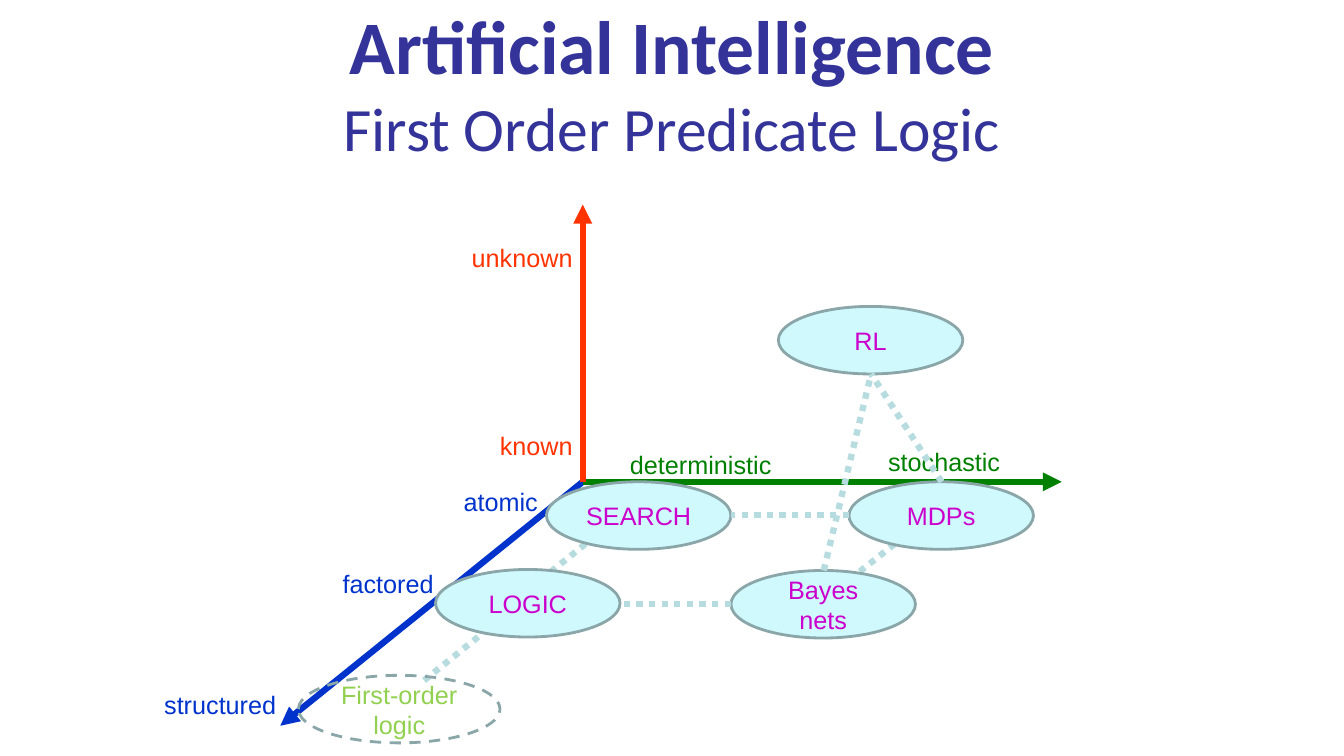
from typing import NamedTuple, Optional

from pptx import Presentation
from pptx.dml.color import RGBColor
from pptx.enum.dml import MSO_LINE
from pptx.enum.shapes import MSO_CONNECTOR, MSO_SHAPE
from pptx.enum.text import MSO_ANCHOR, MSO_AUTO_SIZE, PP_ALIGN
from pptx.oxml.ns import qn
from pptx.util import Inches, Pt
from lxml import etree

STRAIGHT = MSO_CONNECTOR.STRAIGHT
OVAL = MSO_SHAPE.OVAL
DOTTED, DASHED = MSO_LINE.ROUND_DOT, MSO_LINE.DASH
MIDDLE = MSO_ANCHOR.MIDDLE
CENTER = PP_ALIGN.CENTER
GROW = MSO_AUTO_SIZE.SHAPE_TO_FIT_TEXT

NAVY = RGBColor(0x33, 0x33, 0x99)
BLUE = RGBColor(0x00, 0x33, 0xCC)
GREEN = RGBColor(0x00, 0x80, 0x00)
RED = RGBColor(0xFF, 0x33, 0x00)
PALE = RGBColor(0xD0, 0xF9, 0xFE)
GREY = RGBColor(0x8A, 0xA6, 0xA8)
TEAL = RGBColor(0xB6, 0xDC, 0xDF)
MAGENTA = RGBColor(0xCC, 0x00, 0xCC)
LIME = RGBColor(0x92, 0xD0, 0x50)

Point = tuple[float, float]
ORIGIN: Point = (5.78, 4.78)
NODE_HEIGHT = 0.67
LABEL_HEIGHT = 0.4


class Label(NamedTuple):
    text: str
    left: float
    top: float
    width: float


class Axis(NamedTuple):
    tip: Point
    color: RGBColor
    labels: list[Label]


class Node(NamedTuple):
    text: str
    left: float
    top: float
    width: float = 1.83
    color: RGBColor = MAGENTA
    fill: Optional[RGBColor] = PALE


class Link(NamedTuple):
    start: Point
    end: Point


BACK_LINKS = [
    Link((6, 5.24), (5.33, 5.78)),
    Link((4.84, 6.24), (4.17, 6.78)),
    Link((8.97, 5.32), (8.3, 5.85)),
]
AXES = [
    Axis((2.78, 7.2), BLUE, [
        Label("atomic", 4.5, 4.78, 0.95),
        Label("factored", 3.3, 5.59, 1.11),
        Label("structured", 1.53, 6.79, 1.32),
    ]),
    Axis((10.53, 4.78), GREEN, [
        Label("deterministic", 6.15, 4.41, 1.67),
        Label("stochastic", 8.71, 4.38, 1.32),
    ]),
    Axis((5.78, 2.03), RED, [
        Label("known", 4.86, 4.22, 0.93),
        Label("unknown", 4.58, 2.36, 1.21),
    ]),
]
NODES = [
    Node("RL", 7.72, 3.04),
    Node("Bayes nets", 7.25, 5.66),
    Node("First-order logic", 2.96, 6.7, 2, LIME, None),
    Node("LOGIC", 4.32, 5.65),
    Node("SEARCH", 5.42, 4.78),
    Node("MDPs", 8.42, 4.78),
]
FRONT_LINKS = [
    Link((8.17, 5.66), (8.64, 3.71)),
    Link((8.42, 5.11), (7.25, 5.11)),
    Link((7.25, 5.99), (6.15, 5.99)),
    Link((9.34, 4.78), (8.64, 3.71)),
]


def add_line(s, start: Point, end: Point, color: RGBColor):
    line = s.shapes.add_connector(STRAIGHT, *map(Inches, start + end))
    line.line.color.rgb = color
    line.line.width = Pt(4.5)
    etree.SubElement(line._element.spPr, qn("a:effectLst"))
    return line


def add_link(s, link: Link) -> None:
    add_line(s, link.start, link.end, TEAL).line.dash_style = DOTTED


def style(p, size: float, color: RGBColor, name: str = "Arial") -> None:
    p.font.size = Pt(size)
    p.font.name = name
    p.font.color.rgb = color


def add_label(s, label: Label, color: RGBColor) -> None:
    box = map(Inches, (label.left, label.top, label.width, LABEL_HEIGHT))
    tf = s.shapes.add_textbox(*box).text_frame
    tf.word_wrap = False
    tf.auto_size = GROW
    tf.text = label.text
    style(tf.paragraphs[0], 18, color)


def add_axis(s, axis: Axis) -> None:
    line = add_line(s, ORIGIN, axis.tip, axis.color)
    ln = line.line._get_or_add_ln()
    etree.SubElement(ln, qn("a:tailEnd"), type="triangle")
    for label in axis.labels:
        add_label(s, label, axis.color)


def add_node(s, node: Node) -> None:
    box = map(Inches, (node.left, node.top, node.width, NODE_HEIGHT))
    sp = s.shapes.add_shape(OVAL, *box)
    sp.shadow.inherit = False
    sp.line.color.rgb = GREY
    sp.line.width = Pt(2)
    if node.fill is None:
        sp.fill.background()
        sp.line.dash_style = DASHED
    else:
        sp.fill.solid()
        sp.fill.fore_color.rgb = node.fill
    tf = sp.text_frame
    tf.word_wrap = True
    tf.vertical_anchor = MIDDLE
    tf.text = node.text
    p = tf.paragraphs[0]
    p.alignment = CENTER
    style(p, 18, node.color)


def add_title(s) -> None:
    box = map(Inches, (0, 0, 13.33, 1.61))
    tf = s.shapes.add_textbox(*box).text_frame
    tf.word_wrap = True
    tf.vertical_anchor = MIDDLE
    p = tf.paragraphs[0]
    p.alignment = CENTER
    r = p.add_run()
    r.text = "Artificial Intelligence"
    style(r, 54, NAVY, "Calibri")
    r.font.bold = True
    p.add_line_break()
    r = p.add_run()
    r.text = "First Order Predicate Logic"
    style(r, 44, NAVY, "Calibri")


def main() -> None:
    prs = Presentation()
    prs.slide_width, prs.slide_height = Inches(13.33), Inches(7.5)
    s = prs.slides.add_slide(prs.slide_layouts[6])
    for link in BACK_LINKS:
        add_link(s, link)
    for axis in AXES:
        add_axis(s, axis)
    for node in NODES:
        add_node(s, node)
    for link in FRONT_LINKS:
        add_link(s, link)
    add_title(s)
    prs.save("out.pptx")


if __name__ == "__main__":
    main()
